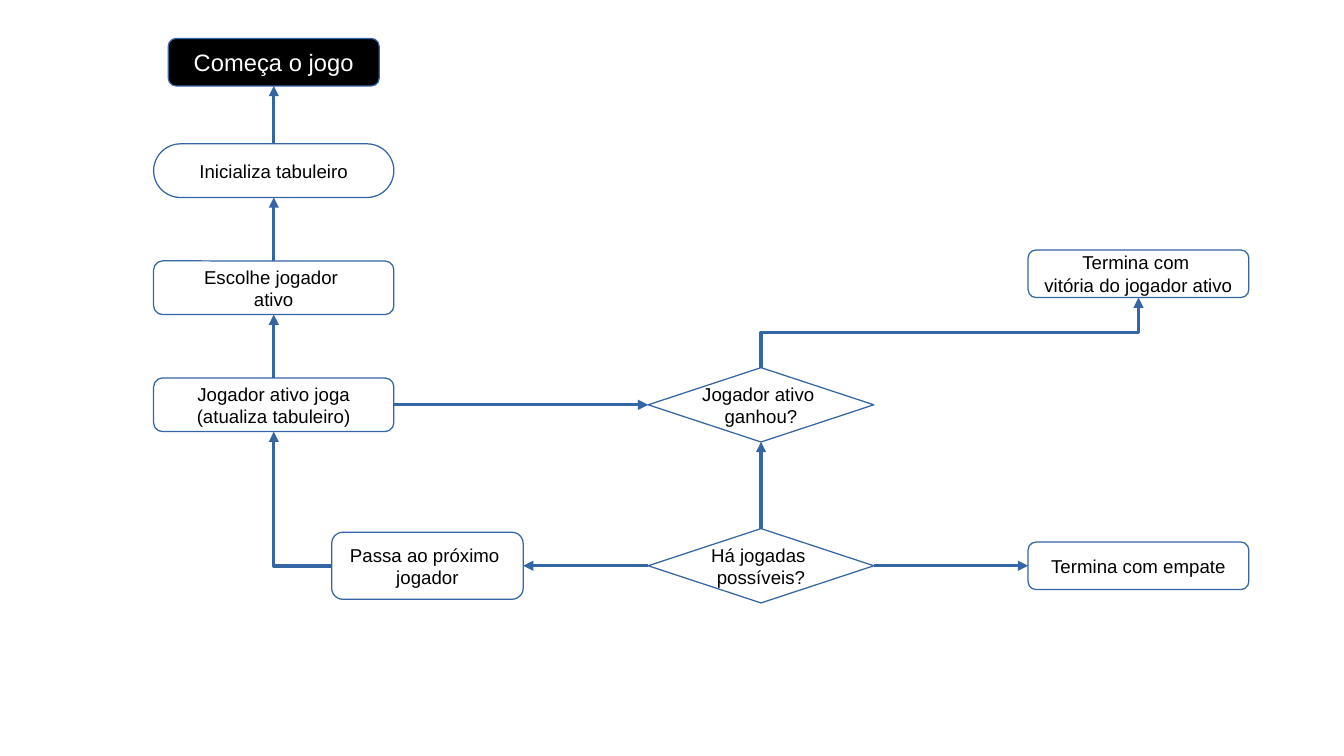
from pptx import Presentation
from pptx.dml.color import RGBColor
from pptx.enum.shapes import MSO_CONNECTOR as LINK, MSO_SHAPE as FORM
from pptx.enum.text import MSO_ANCHOR, PP_ALIGN
from pptx.oxml.ns import qn
from pptx.util import Inches, Pt
from lxml.etree import SubElement

BLUE, BLACK, WHITE = "3465A4", "000000", "FFFFFF"
COLS = {"main": 2.245, "pass": 3.505, "test": 6.24, "end": 9.335}
ROWS = {"start": 0.51, "init": 1.4, "win": 2.245, "pick": 2.36,
        "play": 3.32, "last": 4.64}
SIZES = {"start": (1.73, 0.39), "step": (1.97, 0.44), "pass": (1.57, 0.55),
         "test": (1.85, 0.61), "end": (1.81, 0.39)}
NODES = {
    "start": ("main", "start", "start", ["Começa o jogo"]),
    "init": ("main", "init", "step", ["Inicializa tabuleiro"]),
    "pick": ("main", "pick", "step", ["Escolhe jogador ", "ativo"]),
    "play": ("main", "play", "step", ["Jogador ativo joga", "(atualiza tabuleiro)"]),
    "won": ("test", "play", "test", ["Jogador ativo ", "ganhou?"]),
    "win": ("end", "win", "end", ["Termina com ", "vitória do jogador ativo"]),
    "next": ("pass", "last", "pass", ["Passa ao próximo ", "jogador"]),
    "moves": ("test", "last", "test", ["Há jogadas ", "possíveis?"]),
    "draw": ("end", "last", "end", ["Termina com empate"]),
}
TOP, LEFT, BOTTOM, RIGHT = range(4)
LINKS = [
    ("init", TOP, "start", BOTTOM, None),
    ("pick", TOP, "init", BOTTOM, None),
    ("play", TOP, "pick", BOTTOM, None),
    ("play", RIGHT, "won", LEFT, None),
    ("moves", TOP, "won", BOTTOM, None),
    ("moves", RIGHT, "draw", LEFT, None),
    ("moves", LEFT, "next", RIGHT, None),
    ("won", TOP, "win", BOTTOM, ("bentConnector3", 270)),
    ("next", LEFT, "play", BOTTOM, ("bentConnector2", 180)),
]


def color(code):
    return RGBColor.from_string(code)


def outline(item):
    item.line.color.rgb = color(BLUE)
    item.line.width = Pt(0)


def add_node(slide, name):
    col, row, kind, lines = NODES[name]
    wide, high = SIZES[kind]
    form = FORM.DIAMOND if kind == "test" else FORM.ROUNDED_RECTANGLE
    node = slide.shapes.add_shape(
        form, Inches(COLS[col] - wide / 2), Inches(ROWS[row] - high / 2),
        Inches(wide), Inches(high))
    node.shadow.inherit = False
    outline(node)
    if kind != "test":
        node.adjustments[0] = 0.5 if name == "init" else 0.167
    first = name == "start"
    if first:
        node.fill.solid()
        node.fill.fore_color.rgb = color(BLACK)
    else:
        node.fill.background()
    frame = node.text_frame
    frame.word_wrap = False
    frame.vertical_anchor = MSO_ANCHOR.MIDDLE
    frame.text = "\n".join(lines)
    for para in frame.paragraphs:
        para.alignment = PP_ALIGN.CENTER
        para.font.name = "Arial"
        para.font.size = Pt(14 if first else 11)
        para.font.color.rgb = color(WHITE if first else BLACK)
    return node


def bend(link, form, turn):
    left, top, wide, high = link.left, link.top, link.width, link.height
    if turn % 180:
        left, top = left + (wide - high) // 2, top + (high - wide) // 2
        wide, high = high, wide
    link.left, link.top, link.width, link.height = left, top, wide, high
    frame = link._element.spPr.find(qn("a:xfrm"))
    for flip in ("flipH", "flipV"):
        frame.attrib.pop(flip, None)
    frame.set("rot", str(turn * 60000))
    link._element.spPr.find(qn("a:prstGeom")).set("prst", form)


def add_link(slide, nodes, start, out, end, into, shape):
    kind = LINK.ELBOW if shape else LINK.STRAIGHT
    link = slide.shapes.add_connector(kind, 0, 0, 0, 0)
    link.begin_connect(nodes[start], out)
    link.end_connect(nodes[end], into)
    if shape:
        bend(link, *shape)
    outline(link)
    SubElement(link.line._get_or_add_ln(), qn("a:tailEnd"), type="triangle")
    SubElement(link._element.spPr, qn("a:effectLst"))


def main():
    deck = Presentation()
    deck.slide_width, deck.slide_height = Inches(11.02), Inches(6.2)
    slide = deck.slides.add_slide(deck.slide_layouts[6])
    nodes = {name: add_node(slide, name) for name in NODES}
    for row in LINKS:
        add_link(slide, nodes, *row)
    deck.save("out.pptx")


if __name__ == "__main__":
    main()
